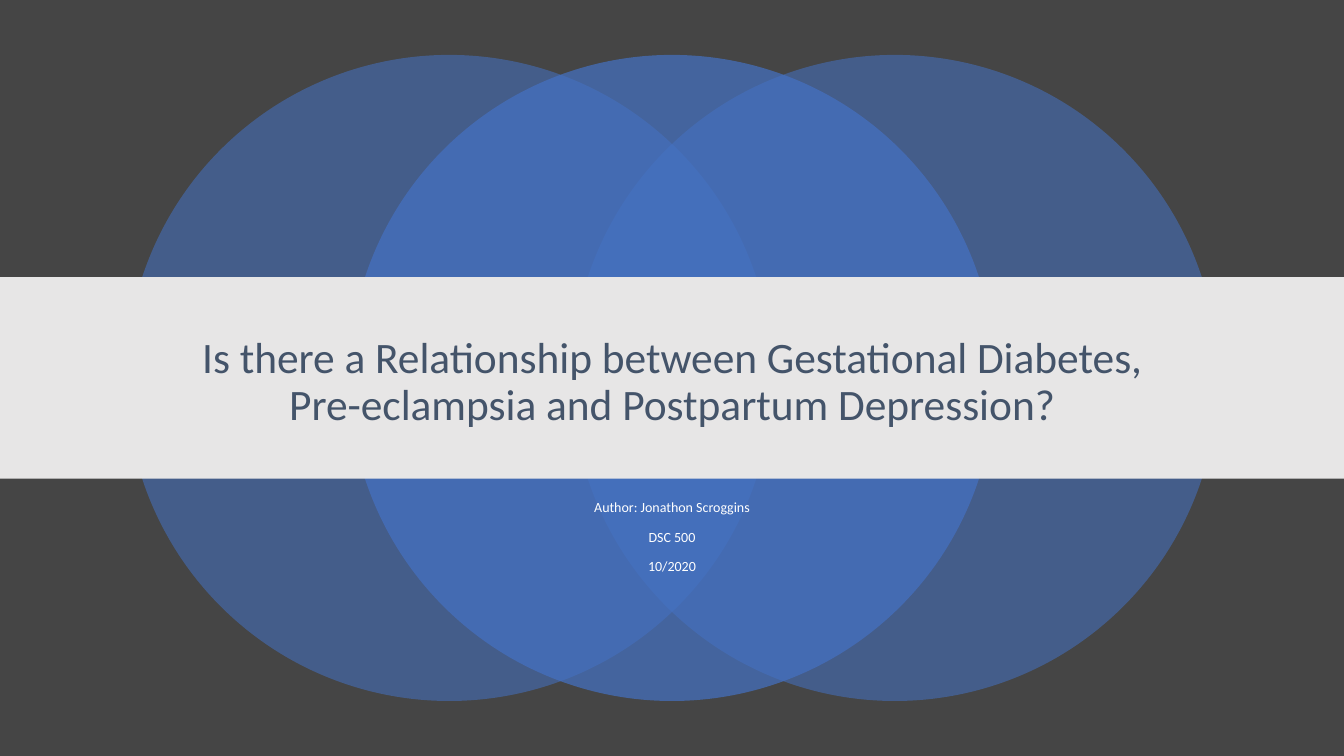
from lxml.etree import SubElement
from pptx import Presentation
from pptx.dml.color import RGBColor
from pptx.enum.shapes import MSO_SHAPE
from pptx.enum.text import MSO_ANCHOR, PP_ALIGN
from pptx.oxml.ns import qn
from pptx.util import Inches, Pt

TITLE = ["Is there a Relationship between Gestational Diabetes, "
         "Pre-eclampsia and Postpartum Depression?"]
DETAILS = ["Author: Jonathon Scroggins", "DSC 500", "10/2020"]
COLORS = {"background": "454545", "circle": "4472C4", "band": "E7E6E6",
          "title": "44546A", "details": "FFFFFF"}
FONT = "Calibri"

WIDTH, HEIGHT = 13.33, 7.5
DIAMETER = 6.41
CIRCLE_STEP = 2.21
BAND_TOP, BAND_HEIGHT = 2.75, 2
TEXT_WIDTH = 10
# Steps from the centre and opacity in percent, back to front
CIRCLES = [(-1, 55), (1, 55), (0, 70)]


def add_plain_shape(slide, preset, box, color, opacity=100):
    """Add a filled shape without line or shadow."""
    shape = slide.shapes.add_shape(preset, *map(Inches, box))
    shape.shadow.inherit = False
    shape.line.fill.background()
    shape.fill.solid()
    shape.fill.fore_color.rgb = RGBColor.from_string(COLORS[color])
    if opacity < 100:
        srgb = shape.fill._xPr.find(f".//{qn('a:srgbClr')}")
        SubElement(srgb, qn("a:alpha"), val=str(opacity * 1000))


def add_centered_text(slide, lines, top, height, size, color,
                      anchor=MSO_ANCHOR.TOP, space_before=0):
    """Add a centred text box with one paragraph per line."""
    box = slide.shapes.add_textbox(Inches((WIDTH - TEXT_WIDTH) / 2), Inches(top),
                                   Inches(TEXT_WIDTH), Inches(height))
    frame = box.text_frame
    frame.word_wrap = True
    frame.vertical_anchor = anchor
    for index, line in enumerate(lines):
        paragraph = frame.add_paragraph() if index else frame.paragraphs[0]
        paragraph.alignment = PP_ALIGN.CENTER
        paragraph.line_spacing = 0.9
        paragraph.space_before = Pt(space_before)
        run = paragraph.add_run()
        run.text = line
        run.font.name = FONT
        run.font.size = Pt(size)
        run.font.color.rgb = RGBColor.from_string(COLORS[color])


presentation = Presentation()
presentation.slide_width = Inches(WIDTH)
presentation.slide_height = Inches(HEIGHT)
slide = presentation.slides.add_slide(presentation.slide_layouts[6])
slide.background.fill.solid()
slide.background.fill.fore_color.rgb = RGBColor.from_string(COLORS["background"])

for step, opacity in CIRCLES:
    left = (WIDTH - DIAMETER) / 2 + step * CIRCLE_STEP
    add_plain_shape(slide, MSO_SHAPE.OVAL,
                    (left, (HEIGHT - DIAMETER) / 2, DIAMETER, DIAMETER),
                    "circle", opacity)

add_plain_shape(slide, MSO_SHAPE.RECTANGLE,
                (0, BAND_TOP, WIDTH, BAND_HEIGHT), "band")
add_centered_text(slide, TITLE, 3.04, 1.51, 31, "title", anchor=MSO_ANCHOR.MIDDLE)
add_centered_text(slide, DETAILS, 4.92, 0.83, 10, "details", space_before=10)

presentation.save("out.pptx")
